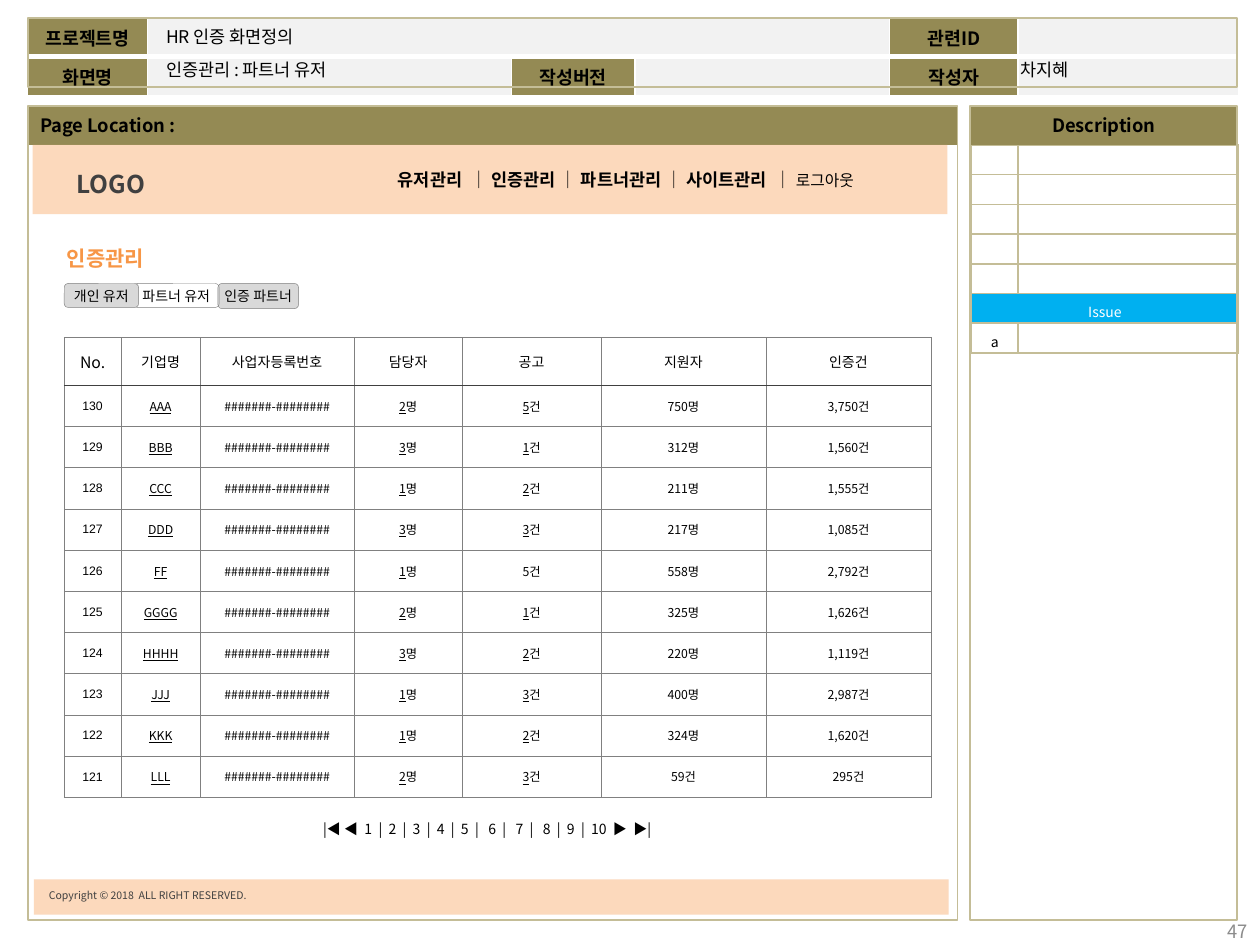
"""Build a wireframe slide for the partner user certification screen."""
from lxml.etree import SubElement
from pptx import Presentation
from pptx.dml.color import RGBColor
from pptx.enum.shapes import MSO_SHAPE
from pptx.enum.text import MSO_ANCHOR, MSO_AUTO_SIZE, PP_ALIGN
from pptx.oxml.ns import qn
from pptx.util import Inches, Pt

hue = RGBColor.from_string
unit = Inches(0.1)
FACE = "Noto Sans CJK KR"
OLIVE, SAND, PALE, GREY, DARK = "948A54", "C4BD97", "F2F2F2", "808080", "404040"
LEFT, MID, RIGHT = PP_ALIGN.LEFT, PP_ALIGN.CENTER, PP_ALIGN.RIGHT
RECT, ROUND = MSO_SHAPE.RECTANGLE, MSO_SHAPE.ROUNDED_RECTANGLE


def write(frame, text, size, color="000000", bold=False, align=LEFT,
          face=FACE, inset=(1, 0.5), anchor=MSO_ANCHOR.MIDDLE):
    """Fill a frame with one paragraph; parts between bars are underlined."""
    frame.word_wrap = True
    frame.vertical_anchor = anchor
    frame.margin_left = frame.margin_right = round(inset[0] * unit)
    frame.margin_top = frame.margin_bottom = round(inset[1] * unit)
    para = frame.paragraphs[0]
    para.alignment = align
    font = para.font
    font.name, font.size, font.bold = face, Pt(size), bold
    font.color.rgb = hue(color)
    SubElement(font._element, qn("a:ea")).set("typeface", face)
    for k, part in enumerate(text.split("_")):
        if part:
            run = para.add_run()
            run.text = part
            if k % 2:
                run.font.underline = True
    if not text:
        para._p.get_or_add_endParaRPr().set("sz", str(round(size * 100)))
    return para


def grid(at, cols, rows, edge, rule):
    """Add a plain table whose first row ends in its own rule."""
    spot = [round(n * unit) for n in (*at, sum(cols), sum(rows))]
    table = slide.shapes.add_table(len(rows), len(cols), *spot).table
    table.first_row = table.horz_banding = False
    for col, wide in zip(table.columns, cols):
        col.width = round(wide * unit)
    for r, high in enumerate(rows):
        table.rows[r].height = round(high * unit)
        for cell in table.rows[r].cells:
            props = cell._tc.get_or_add_tcPr()
            for side in "LRTB":
                inner = (r, side) in ((0, "B"), (1, "T"))
                color, width = rule if inner else edge
                line = SubElement(props, qn("a:ln" + side), w=str(Pt(width)))
                fill = SubElement(line, qn("a:solidFill"))
                SubElement(fill, qn("a:srgbClr"), val=color)
            cell.fill.background()
    return table


deck = Presentation()
deck.slide_width, deck.slide_height = 100 * unit, 75 * unit
slide = deck.slides.add_slide(deck.slide_layouts[5])

head = grid((2.2, 1.4), (9.5, 28.9, 9.8, 20.2, 10.2, 17.5), (3.1, 3.1),
            ("FFFFFF", 1), ("FFFFFF", 3))
head.cell(0, 1).merge(head.cell(0, 3))
for r, names in enumerate((("프로젝트명", "", "", "", "관련ID", ""),
                           ("화면명", "", "작성버전", "", "작성자", ""))):
    for c, name in enumerate(names):
        cell = head.cell(r, c)
        cell.fill.solid()
        cell.fill.fore_color.rgb = hue(OLIVE if name else PALE)
        write(cell.text_frame, name, 10.5, bold=True, align=MID)
        cell.vertical_anchor = MSO_ANCHOR.MIDDLE
        cell.margin_top = cell.margin_bottom = round(0.5 * unit)

side = grid((7.71 * 10, 11.5), (3.7, 17.5), [2.36] * 7, (SAND, 1), (SAND, 1))
side.cell(5, 0).merge(side.cell(5, 1))
for r in range(7):
    for c in range(2):
        cell = side.cell(r, c)
        text = {(5, 0): "Issue", (6, 0): "a"}.get((r, c), "")
        write(cell.text_frame, text, 8, "FFFFFF" if r == 5 else "000000", align=MID)
        cell.vertical_anchor = MSO_ANCHOR.MIDDLE
        cell.margin_top, cell.margin_bottom = round(0.5 * unit), 0
side.cell(5, 0).fill.solid()
side.cell(5, 0).fill.fore_color.rgb = hue("00B0F0")

tab = {"size": 8, "align": MID, "inset": (0, 0.4)}
bar = {"size": 10.5, "bold": True}
for kind, at, fill, line, alpha, text, look in (
        (RECT, (2.2, 8.4, 73.8, 3.1), OLIVE, None, 100, "Page Location :", bar),
        (RECT, (77, 8.4, 21.2, 3.1), OLIVE, None, 100, "Description", {**bar, "align": MID}),
        (RECT, (2.2, 8.4, 73.8, 64.6), None, (SAND, 1), 100, "", {"size": 8}),
        (RECT, (77, 8.4, 21.2, 64.6), None, (SAND, 1), 100, "", {"size": 8}),
        (RECT, (2.2, 1.4, 96, 5.5), None, (SAND, 1), 100, "", {"size": 8}),
        (RECT, (2.6, 11.5, 72.6, 5.5), "FAC090", None, 60, "", {"size": 8}),
        (RECT, (2.7, 69.8, 72.6, 2.8), "FAC090", None, 60, "", {"size": 8}),
        (ROUND, (17.3, 22.5, 6.4, 2), "D9D9D9", (GREY, 0.25), 100, "인증 파트너", tab),
        (ROUND, (10.6, 22.5, 6.8, 1.9), None, (GREY, 0.25), 100, "파트너 유저", tab),
        (ROUND, (5.1, 22.5, 5.9, 1.9), "D9D9D9", (GREY, 0.25), 100, "개인 유저", tab)):
    box = slide.shapes.add_shape(kind, *[round(n * unit) for n in at])
    box.shadow.inherit = False
    box.fill.background()
    box.line.fill.background()
    if fill:
        box.fill.solid()
        box.fill.fore_color.rgb = hue(fill)
    if alpha < 100:
        tint = box._element.spPr.find(".//" + qn("a:srgbClr"))
        SubElement(tint, qn("a:alpha"), val=str(alpha * 1000))
    if line:
        box.line.color.rgb = hue(line[0])
        box.line.width = Pt(line[1])
    write(box.text_frame, text, **look)

top = MSO_ANCHOR.TOP
for at, text, look in (
        ((12.2, 1.6, 20, 2.7), "HR 인증 화면정의", {"size": 10}),
        ((80, 4.2, 8, 2.7), "차지혜", {"size": 10}),
        ((12.2, 4.2, 20, 2.7), "인증관리 : 파트너 유저", {"size": 10}),
        ((2.9, 70.1, 37, 2), "Copyright © 2018  ALL RIGHT RESERVED.",
         {"size": 6, "color": DARK}),
        ((5.1, 12.9, 9, 3.4), "LOGO", {"size": 14, "color": DARK, "bold": True}),
        ((25.4, 64.6, 32, 2.4),
         " |◀ ◀  1  |  2  |  3  |  4  |  5  |   6  |   7  |   8  |  9  |  10  ▶  ▶|",
         {"size": 8, "inset": (0, 0), "anchor": MSO_ANCHOR.MIDDLE}),
        ((95.2, 71.9, 4.8, 4), "47",
         {"size": 10.5, "color": "8C8C8C", "align": RIGHT, "anchor": MSO_ANCHOR.MIDDLE})):
    box = slide.shapes.add_textbox(*[round(n * unit) for n in at])
    write(box.text_frame, text, **{"anchor": top, **look})

menu = slide.shapes.add_textbox(*[round(n * unit) for n in (30.6, 12.9, 43.1, 2.7)])
para = write(menu.text_frame, "유저관리  │ 인증관리 │ 파트너관리 │ 사이트관리  ",
             10, bold=True, anchor=top)
for text, size in (("│ ", 10), ("로그아웃", 9)):
    run = para.add_run()
    run.text, run.font.size, run.font.bold = text, Pt(size), False

title = slide.shapes.title
title.left, title.top, title.width, title.height = [
    round(n * unit) for n in (4.3, 19, 22.9, 3)]
title.text_frame.auto_size = MSO_AUTO_SIZE.NONE
write(title.text_frame, "인증관리", 12, "F79646", True, anchor=top)

names = ("No.", "기업명", "사업자등록번호", "담당자", "공고", "지원자", "인증건")
firms = (("AAA", 2, "_5_", "750명", "3,750"), ("BBB", 3, "_1_", "312명", "1,560"),
         ("CCC", 1, "_2_", "211명", "1,555"), ("DDD", 3, "_3_", "217명", "1,085"),
         ("FF", 1, "5", "558명", "2,792"), ("GGGG", 2, "_1_", "325명", "1,626"),
         ("HHHH", 3, "_2_", "220명", "1,119"), ("JJJ", 1, "_3_", "400명", "2,987"),
         ("KKK", 1, "_2_", "324명", "1,620"), ("LLL", 2, "_3_", "59건", "295"))
lines = [names] + [
    (str(130 - k), f"_{firm}_", "#######-########", f"_{staff}_명", f"{posts}건", seek, f"{done}건")
    for k, (firm, staff, posts, seek, done) in enumerate(firms)]
users = grid((5.1, 26.8), (4.5, 6.3, 12.2, 8.6, 11, 13.1, 13.1),
             [3.8] + [3.27] * len(firms), (GREY, 0.5), (DARK, 1))
for r, line in enumerate(lines):
    for c, text in enumerate(line):
        cell = users.cell(r, c)
        size = 7 if r else 8 if c else 9
        write(cell.text_frame, text, size, align=MID, face=FACE if c or not r else "Arial")
        cell.vertical_anchor = MSO_ANCHOR.MIDDLE

deck.save("out.pptx")
